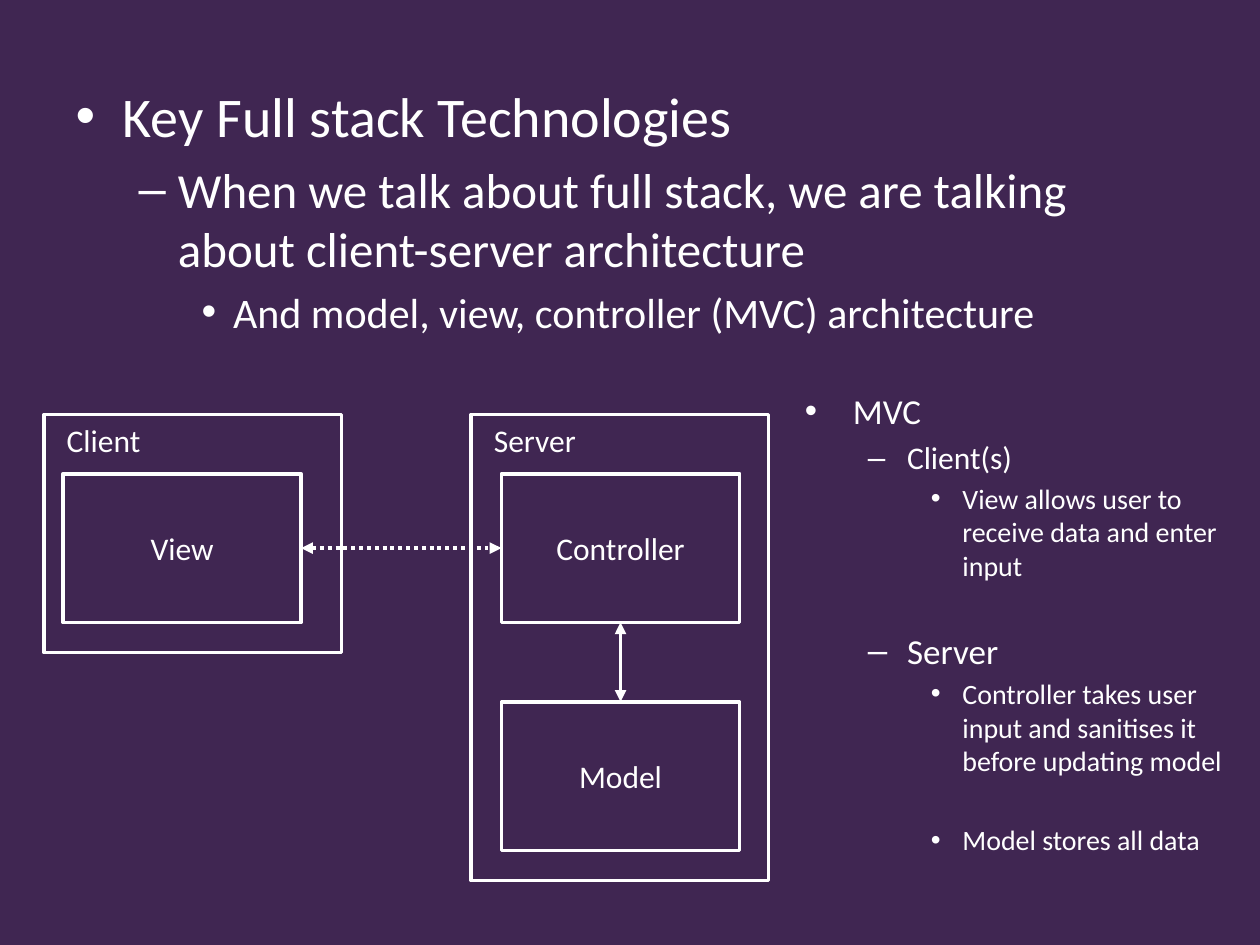
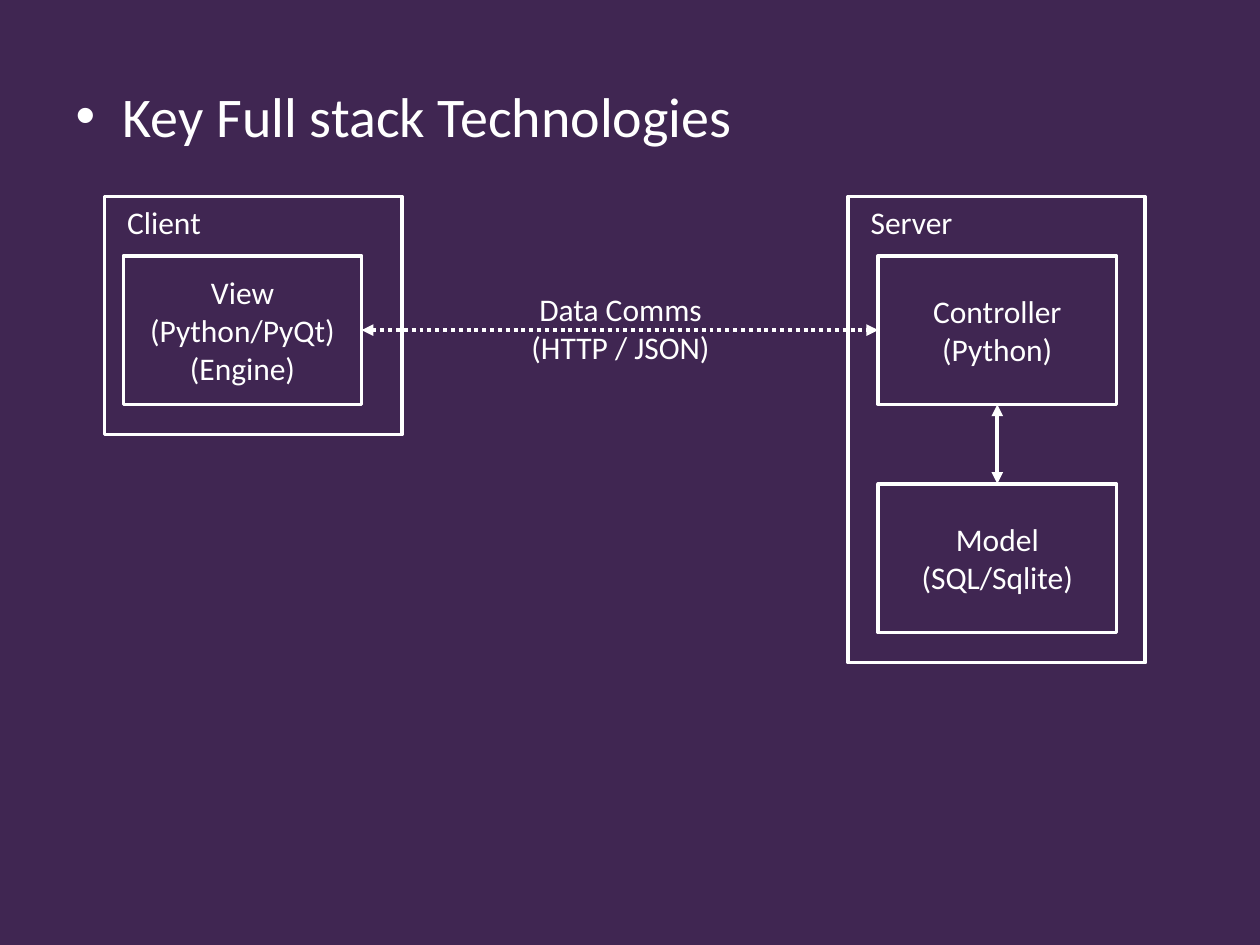
from dataclasses import dataclass

from lxml.etree import SubElement
from pptx import Presentation
from pptx.dml.color import RGBColor
from pptx.enum.dml import MSO_LINE
from pptx.enum.shapes import MSO_CONNECTOR, MSO_SHAPE
from pptx.enum.text import MSO_ANCHOR, PP_ALIGN
from pptx.oxml.ns import qn
from pptx.util import Emu, Pt

# Shared look
PURPLE = RGBColor(0x40, 0x26, 0x52)
WHITE = RGBColor(0xFF, 0xFF, 0xFF)
FONT = "Calibri"
LABEL_SIZE = 18
HEADING = "Key Full stack Technologies"
BULLETS = "•–•"
INDENTS = ((38, 38), (81, 31), (125, 25))  # left margin, hanging, by level

# Diagram measures, in px
BOX_W, BOX_H = 189, 118
FRAME_W, CLIENT_H, SERVER_H = 236, 189, 370
BOX_DROP, MODEL_DROP = 47, 228
CLIENT_INSET, SERVER_INSET = 15, 24

# Connection sites of a rectangle
TOP, LEFT, BOTTOM, RIGHT = range(4)


def px(n: int) -> Emu:
    """100 px to the inch."""
    return Emu(n * 9144)


@dataclass
class Item:
    text: str
    level: int
    size: int
    before: int = 0  # space before, pt


@dataclass
class Diagram:
    top: int
    client_x: int
    server_x: int
    view: list[str]
    controller: list[str]
    model: list[str]


def add_run(p, text: str, size: int) -> None:
    r = p.add_run()
    r.text = text
    r.font.name = FONT
    r.font.size = Pt(size)
    r.font.color.rgb = WHITE


def paragraphs(tf, count: int) -> list:
    return [tf.paragraphs[0]] + [tf.add_paragraph() for _ in range(count - 1)]


def write_lines(tf, lines: list[str], align: PP_ALIGN) -> None:
    for p, line in zip(paragraphs(tf, len(lines)), lines):
        p.alignment = align
        add_run(p, line, LABEL_SIZE)


def write_items(tf, items: list[Item]) -> None:
    for p, item in zip(paragraphs(tf, len(items)), items):
        p.level = item.level
        p.space_before = Pt(item.before)
        add_run(p, item.text, item.size)


def add_bullets(tf) -> None:
    for p in tf.paragraphs:
        left, hang = INDENTS[p.level]
        pPr = p._p.get_or_add_pPr()
        pPr.set("marL", str(px(left)))
        pPr.set("indent", str(-px(hang)))
        SubElement(pPr, qn("a:buFont")).set("typeface", "Arial")
        SubElement(pPr, qn("a:buChar")).set("char", BULLETS[p.level])


def add_textbox(slide, x: int, y: int, w: int, h: int):
    tf = slide.shapes.add_textbox(px(x), px(y), px(w), px(h)).text_frame
    tf.word_wrap = True
    return tf


def add_rect(slide, x: int, y: int, w: int, h: int):
    sp = slide.shapes.add_shape(MSO_SHAPE.RECTANGLE, px(x), px(y), px(w), px(h))
    sp.shadow.inherit = False
    sp.fill.background()
    sp.line.color.rgb = WHITE
    sp.line.width = Pt(2)
    return sp


def add_box(slide, x: int, y: int, lines: list[str]):
    sp = add_rect(slide, x, y, BOX_W, BOX_H)
    sp.text_frame.vertical_anchor = MSO_ANCHOR.MIDDLE
    write_lines(sp.text_frame, lines, PP_ALIGN.CENTER)
    return sp


def add_frame(slide, x: int, y: int, h: int, label: str) -> None:
    tf = add_rect(slide, x, y, FRAME_W, h).text_frame
    tf.vertical_anchor = MSO_ANCHOR.TOP
    tf.margin_left = px(18)
    write_lines(tf, [label], PP_ALIGN.LEFT)


def add_arrow(slide, start, start_site: int, end, end_site: int,
              dotted: bool = False) -> None:
    c = slide.shapes.add_connector(MSO_CONNECTOR.STRAIGHT, 0, 0, 0, 0)
    c.begin_connect(start, start_site)
    c.end_connect(end, end_site)
    c.line.color.rgb = WHITE
    c.line.width = Pt(2.25)
    if dotted:
        c.line.dash_style = MSO_LINE.ROUND_DOT
    spPr = c.element.spPr
    ln = spPr.find(qn("a:ln"))
    for tag in ("a:headEnd", "a:tailEnd"):
        SubElement(ln, qn(tag)).set("type", "triangle")
    SubElement(spPr, qn("a:effectLst"))


def add_diagram(slide, d: Diagram) -> None:
    box_y = d.top + BOX_DROP
    server_box_x = d.server_x + SERVER_INSET
    add_frame(slide, d.client_x, d.top, CLIENT_H, "Client")
    add_frame(slide, d.server_x, d.top, SERVER_H, "Server")
    view = add_box(slide, d.client_x + CLIENT_INSET, box_y, d.view)
    controller = add_box(slide, server_box_x, box_y, d.controller)
    model = add_box(slide, server_box_x, d.top + MODEL_DROP, d.model)
    add_arrow(slide, view, RIGHT, controller, LEFT, dotted=True)
    add_arrow(slide, controller, BOTTOM, model, TOP)


def add_slide(prs, details: list[Item]):
    """Slide whose body list opens with the shared heading."""
    slide = prs.slides.add_slide(prs.slide_layouts[1])
    title = slide.shapes.title.element
    title.getparent().remove(title)
    body = slide.placeholders[1]
    body.left, body.top, body.width, body.height = map(px, (50, 60, 900, 677))
    write_items(body.text_frame, [Item(HEADING, 0, 32), *details])
    return slide


def build_architecture(prs) -> None:
    slide = add_slide(prs, [
        Item("When we talk about full stack, we are talking about "
             "client-server architecture", 1, 28, 6),
        Item("And model, view, controller (MVC) architecture", 2, 24, 5),
    ])
    add_diagram(slide, Diagram(329, 35, 374, ["View"], ["Controller"], ["Model"]))

    # MVC notes beside the diagram
    notes = add_textbox(slide, 629, 304, 359, 440)
    write_items(notes, [
        Item("MVC", 0, 20),
        Item("Client(s)", 1, 18, 4),
        Item("View allows user to receive data and enter input", 2, 16, 3),
        Item("Server", 1, 20, 27),
        Item("Controller takes user input and sanitises it "
             "before updating model", 2, 16, 3),
        Item("Model stores all data", 2, 16, 26),
    ])
    add_bullets(notes)


def build_technologies(prs) -> None:
    slide = add_slide(prs, [])
    add_diagram(slide, Diagram(
        156, 83, 673,
        ["View", "(Python/PyQt)", "(Engine)"],
        ["Controller", "(Python)"],
        ["Model", "(SQL/Sqlite)"],
    ))
    comms = add_textbox(slide, 398, 225, BOX_W, 71)
    write_lines(comms, ["Data Comms", "(HTTP / JSON)"], PP_ALIGN.CENTER)


def main() -> None:
    prs = Presentation()
    prs.slide_width, prs.slide_height = px(1000), px(750)
    fill = prs.slide_master.background.fill
    fill.solid()
    fill.fore_color.rgb = PURPLE
    build_architecture(prs)
    build_technologies(prs)
    prs.save("out.pptx")


if __name__ == "__main__":
    main()
